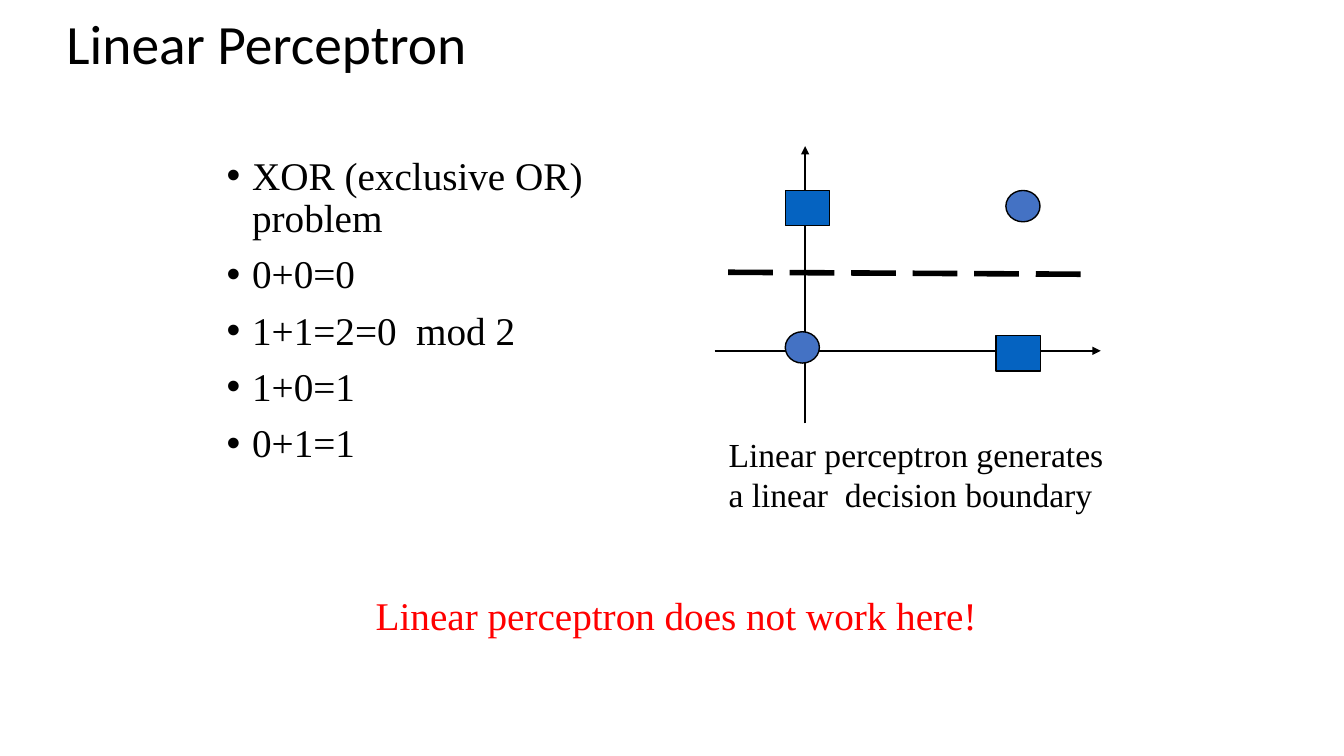
from lxml import etree
from pptx import Presentation
from pptx.dml.color import RGBColor
from pptx.enum.dml import MSO_LINE
from pptx.enum.shapes import MSO_CONNECTOR, MSO_SHAPE
from pptx.enum.text import MSO_ANCHOR, MSO_AUTO_SIZE, PP_ALIGN
from pptx.oxml.ns import qn
from pptx.util import Cm, Pt

STRAIGHT = MSO_CONNECTOR.STRAIGHT
LONG_DASH = MSO_LINE.LONG_DASH
OVAL, RECTANGLE = MSO_SHAPE.OVAL, MSO_SHAPE.RECTANGLE
MIDDLE, TOP = MSO_ANCHOR.MIDDLE, MSO_ANCHOR.TOP
NO_FIT, GROW = MSO_AUTO_SIZE.NONE, MSO_AUTO_SIZE.SHAPE_TO_FIT_TEXT
LEFT = PP_ALIGN.LEFT

COLORS = {"ink": "000000", "circle": "4472C4", "square": "0563C1", "warning": "FF0000"}
HEADING_FONT, TEXT_FONT = "Calibri", "Times New Roman"
XOR_LINES = ["XOR (exclusive OR) problem", "0+0=0", "1+1=2=0  mod 2", "1+0=1", "0+1=1"]


def color(name):
    """Return the named colour."""
    return RGBColor.from_string(COLORS[name])


def place(shape, left, top, width, height):
    """Move and size a shape, in centimetres."""
    shape.left, shape.top = Cm(left), Cm(top)
    shape.width, shape.height = Cm(width), Cm(height)


def add_span(para, text, size, font=TEXT_FONT, ink="ink"):
    """Add one formatted run to a paragraph."""
    span = para.add_run()
    span.text = text
    span.font.size = Pt(size)
    span.font.name = font
    span.font.color.rgb = color(ink)


def fill_title(title, text):
    """Format the title placeholder and write its text."""
    place(title, 1.42, 0.43, 30.66, 1.47)
    frame = title.text_frame
    frame.auto_size, frame.vertical_anchor = NO_FIT, MIDDLE
    para = frame.paragraphs[0]
    para.alignment, para.line_spacing = LEFT, 0.9
    add_span(para, text, 39.6, HEADING_FONT)


def fill_list(body, lines):
    """Write the bulleted lines into the body placeholder."""
    place(body, 5.46, 3.81, 11.33, 9.09)
    frame = body.text_frame
    frame.auto_size, frame.vertical_anchor = NO_FIT, TOP
    for index, line in enumerate(lines):
        para = frame.add_paragraph() if index else frame.paragraphs[0]
        properties = para._p.get_or_add_pPr()
        properties.set("marL", str(Cm(0.64)))
        properties.set("indent", str(-Cm(0.64)))
        etree.SubElement(properties, qn("a:buFont"), typeface="Arial")
        etree.SubElement(properties, qn("a:buChar"), char="•")
        para.line_spacing = 0.9
        para.space_before = Pt(10 if index else 0)
        add_span(para, line, 28)


def add_line(shapes, start, end, weight):
    """Add a straight black line between two points."""
    line = shapes.add_connector(STRAIGHT, *map(Cm, start + end))
    line.line.color.rgb = color("ink")
    line.line.width = Pt(weight)
    etree.SubElement(line._element.spPr, qn("a:effectLst"))
    return line


def add_axis(shapes, start, end):
    """Add a thin line with an arrowhead at its end."""
    axis = add_line(shapes, start, end, 1)
    etree.SubElement(axis.line._get_or_add_ln(), qn("a:tailEnd"), type="triangle")


def add_marker(shapes, kind, fill, left, top, width, height):
    """Add one outlined data point."""
    marker = shapes.add_shape(kind, Cm(left), Cm(top), Cm(width), Cm(height))
    marker.shadow.inherit = False
    marker.fill.solid()
    marker.fill.fore_color.rgb = color(fill)
    marker.line.color.rgb = color("ink")
    marker.line.width = Pt(1)


def add_text(shapes, area, text, size, ink="ink", wrap=True):
    """Add a text box of one paragraph."""
    box = shapes.add_textbox(*map(Cm, area))
    frame = box.text_frame
    frame.word_wrap, frame.auto_size = wrap, GROW
    add_span(frame.paragraphs[0], text, size, ink=ink)


def add_plot(page):
    """Draw the axes and the four XOR points as a group."""
    shapes = page.shapes.add_group_shape().shapes
    add_axis(shapes, (18.01, 8.84), (27.74, 8.84))
    add_axis(shapes, (20.29, 10.67), (20.29, 3.68))
    for left, top in ((19.79, 8.36), (25.35, 4.8)):
        add_marker(shapes, OVAL, "circle", left, top, 0.86, 0.79)
    for left, top in ((19.79, 4.8), (25.1, 8.46)):
        add_marker(shapes, RECTANGLE, "square", left, top, 1.12, 0.89)


def main():
    """Build and save the slide."""
    deck = Presentation()
    deck.slide_width, deck.slide_height = Cm(33.87), Cm(19.05)
    page = deck.slides.add_slide(deck.slide_layouts[1])
    fill_title(page.shapes.title, "Linear Perceptron")
    fill_list(page.placeholders[1], XOR_LINES)
    add_plot(page)
    boundary = add_line(page.shapes, (27.23, 6.91), (18.26, 6.86), 4)
    boundary.line.dash_style = LONG_DASH
    add_text(page.shapes, (18.11, 10.8, 10.16, 2.31),
             "Linear perceptron generates a linear  decision boundary", 24)
    add_text(page.shapes, (9.22, 14.78, 15.88, 1.45),
             "Linear perceptron does not work here!", 28, "warning", False)
    deck.save("out.pptx")


if __name__ == "__main__":
    main()
